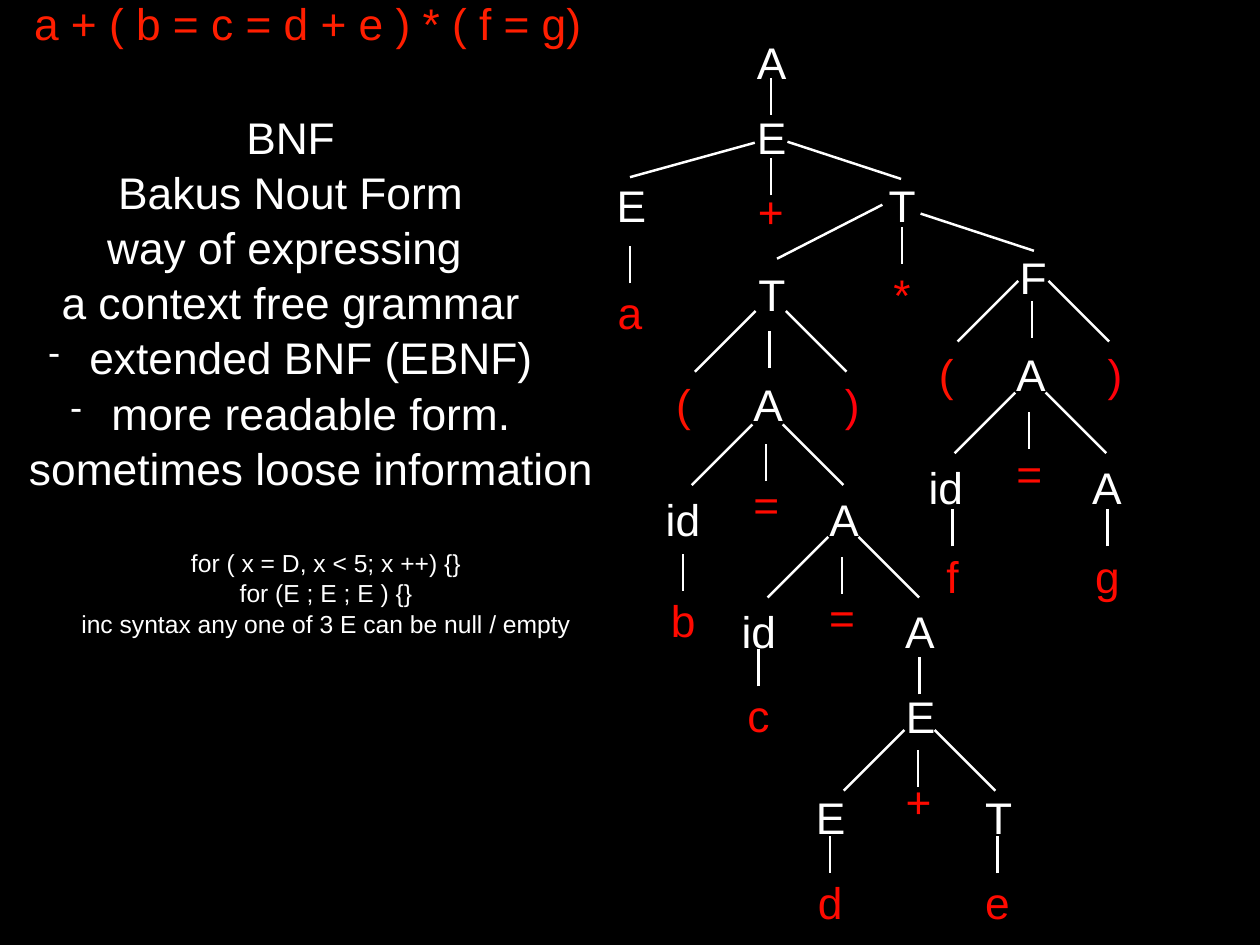
from dataclasses import dataclass

from lxml import etree
from pptx import Presentation
from pptx.dml.color import RGBColor
from pptx.enum.shapes import MSO_CONNECTOR
from pptx.enum.text import MSO_ANCHOR, MSO_AUTO_SIZE, PP_ALIGN
from pptx.oxml.ns import qn
from pptx.util import Inches, Pt

BLACK = RGBColor(0x00, 0x00, 0x00)
WHITE = RGBColor(0xFF, 0xFF, 0xFF)
RED = RGBColor(0xFF, 0x0A, 0x00)
TITLE_RED = RGBColor(0xFF, 0x1E, 0x00)
OPEN_RED = RGBColor(0xFF, 0x12, 0x00)
CLOSE_RED = RGBColor(0xFF, 0x00, 0x0A)

FONT = "Arial"
COLS, ROWS = 64, 48
SYMBOL_SIZE, CODE_SIZE = 36, 20
SYMBOL_H = 3.2
STEM_H = 1.88
SYMBOL_W = {"id": 2.43, "(": 1.31, ")": 1.31, "f": 1.17, "*": 1.44,
            **dict.fromkeys("A+=", 2.07), **dict.fromkeys("TFace", 1.8)}
DEFAULT_W = 1.94
TERMINAL_COLORS = {"(": OPEN_RED, ")": CLOSE_RED, **dict.fromkeys("abcdefg+*=", RED)}

# Offsets of a fork's lines from its apex, in grid cells
FORK_INNER, FORK_OUTER, FORK_DROP = 0.77, 3.85, 3.08
FORK_STEM_X, FORK_STEM_Y = -0.07, 1

# Offsets (column, row) of a fork's three children from its apex
GROUPING = ((-4.43, 3.06), (-0.13, 3.06), (4.14, 3.06))
ASSIGNMENT = ((-4.3, 3.13), (-0.06, 2.4), (3.89, 3.13))
ADDITION = ((-4.57, 2.75), (-0.05, 1.94), (3.96, 2.75))


@dataclass(frozen=True)
class Symbol:
    """A grammar symbol, placed by its centre column and top row."""
    text: str
    col: float
    row: float


@dataclass(frozen=True)
class Stem:
    """A vertical line with the single child below it."""
    child: str
    col: float
    row: float
    gap: float = 1.69


@dataclass(frozen=True)
class Branch:
    """A slanted line from a child up to its parent."""
    col1: float
    row1: float
    col2: float
    row2: float


@dataclass(frozen=True)
class Fork:
    """A node with three children under it."""
    children: tuple[str, str, str]
    col: float
    row: float
    offsets: tuple


@dataclass(frozen=True)
class Block:
    """A block of text; lines from index first_bullet on are bulleted."""
    lines: tuple[str, ...]
    col: float
    row: float
    width: float
    height: float
    size: int = SYMBOL_SIZE
    color: RGBColor = WHITE
    first_bullet: int = 99


SYMBOLS = (Symbol("A", 39.2, 1.49), Symbol("E", 32.02, 8.73), Symbol("T", 45.77, 8.73),
           Symbol("T", 39.15, 13.28), Symbol("F", 52.43, 12.38))
BRANCHES = (Branch(32, 9, 38.34, 7.25), Branch(45.77, 9.09, 40, 7.2),
            Branch(52.52, 12.74, 46.76, 10.85), Branch(39.47, 13.14, 44.82, 10.4))
STEMS = (Stem("E", 39.15, 3.96, 1.31), Stem("+", 39.15, 8.05, 0.99), Stem("a", 32, 12.51),
         Stem("*", 45.81, 11.52, 1.76), Stem("b", 34.7, 28.12), Stem("c", 38.52, 32.98),
         Stem("E", 46.71, 33.39, 1.31), Stem("d", 42.17, 42.44), Stem("e", 50.67, 42.48),
         Stem("f", 48.38, 25.88), Stem("g", 56.25, 25.88))
FORKS = (Fork(("(", "A", ")"), 52.49, 14.27, GROUPING),
         Fork(("(", "A", ")"), 39.15, 15.8, GROUPING),
         Fork(("id", "=", "A"), 38.99, 21.56, ASSIGNMENT),
         Fork(("id", "=", "A"), 42.84, 27.27, ASSIGNMENT),
         Fork(("id", "=", "A"), 52.34, 19.94, ASSIGNMENT),
         Fork(("E", "+", "T"), 46.71, 37.08, ADDITION))
EXPRESSION = Block(("a + ( b = c = d + e ) * ( f = g)",), 0.77, -0.5, 29.75, SYMBOL_H,
                   color=TITLE_RED)
BNF_NOTES = Block(("BNF", "Bakus Nout Form", "way of expressing ", "a context free grammar",
                   "extended BNF (EBNF)", "more readable form.", "sometimes loose information"),
                  -0.9, 5.63, 31.32, 19.31, first_bullet=4)
LOOP_NOTES = Block(("for ( x = D, x < 5; x ++) {}", "for (E ; E ; E ) {}",
                    "inc syntax any one of 3 E can be null / empty"),
                   3.78, 27.59, 25.56, 5, size=CODE_SIZE)

prs = Presentation()
prs.slide_width, prs.slide_height = Inches(14.22), Inches(10.67)
s = prs.slides.add_slide(prs.slide_layouts[6])
s.background.fill.solid()
s.background.fill.fore_color.rgb = BLACK


def x(col: float) -> int:
    """Convert grid columns to a length."""
    return round(prs.slide_width * col / COLS)


def y(row: float) -> int:
    """Convert grid rows to a length."""
    return round(prs.slide_height * row / ROWS)


def add_bullet(p) -> None:
    """Give a paragraph a small dash with a hanging indent."""
    pPr = p._p.get_or_add_pPr()
    pPr.set("marL", str(Inches(0.46)))
    pPr.set("indent", str(Inches(-0.46)))
    etree.SubElement(pPr, qn("a:buSzPct")).set("val", "75000")
    etree.SubElement(pPr, qn("a:buChar")).set("char", "-")


def draw_block(block: Block) -> None:
    """Draw centred text, one paragraph per line."""
    tf = s.shapes.add_textbox(x(block.col), y(block.row),
                              x(block.width), y(block.height)).text_frame
    tf.word_wrap = False
    tf.auto_size = MSO_AUTO_SIZE.SHAPE_TO_FIT_TEXT
    tf.vertical_anchor = MSO_ANCHOR.MIDDLE
    tf.margin_left = tf.margin_right = tf.margin_top = tf.margin_bottom = Inches(0.06)
    for i, line in enumerate(block.lines):
        p = tf.add_paragraph() if i else tf.paragraphs[0]
        p.alignment = PP_ALIGN.CENTER
        p.line_spacing = 1.04
        if i >= block.first_bullet:
            add_bullet(p)
        r = p.add_run()
        r.text = line
        r.font.name, r.font.size = FONT, Pt(block.size)
        r.font.color.rgb = block.color


def draw_symbol(symbol: Symbol) -> None:
    """Draw one symbol: terminals red, the others white."""
    width = SYMBOL_W.get(symbol.text, DEFAULT_W)
    draw_block(Block((symbol.text,), symbol.col - width / 2, symbol.row, width, SYMBOL_H,
                     color=TERMINAL_COLORS.get(symbol.text, WHITE)))


def draw_branch(branch: Branch) -> None:
    """Draw a white line without shadow."""
    line = s.shapes.add_connector(MSO_CONNECTOR.STRAIGHT, x(branch.col1), y(branch.row1),
                                  x(branch.col2), y(branch.row2))
    line.line.color.rgb = WHITE
    line.line.width = Pt(2)
    etree.SubElement(line._element.spPr, qn("a:effectLst"))


def draw_stem(col: float, row: float) -> None:
    """Draw a vertical line down from the given cell."""
    draw_branch(Branch(col, row + STEM_H, col, row))


def draw_fork(fork: Fork) -> None:
    """Draw the three lines of a fork and its children."""
    for side in (-1, 1):
        draw_branch(Branch(fork.col + side * FORK_OUTER, fork.row + FORK_DROP,
                           fork.col + side * FORK_INNER, fork.row))
    draw_stem(fork.col + FORK_STEM_X, fork.row + FORK_STEM_Y)
    for child, (dx, dy) in zip(fork.children, fork.offsets):
        draw_symbol(Symbol(child, fork.col + dx, fork.row + dy))


draw_block(EXPRESSION)
for symbol in SYMBOLS:
    draw_symbol(symbol)
for branch in BRANCHES:
    draw_branch(branch)
for stem in STEMS:
    draw_stem(stem.col, stem.row)
    draw_symbol(Symbol(stem.child, stem.col, stem.row + stem.gap))
for fork in FORKS:
    draw_fork(fork)
draw_block(BNF_NOTES)
draw_block(LOOP_NOTES)

prs.save("out.pptx")
